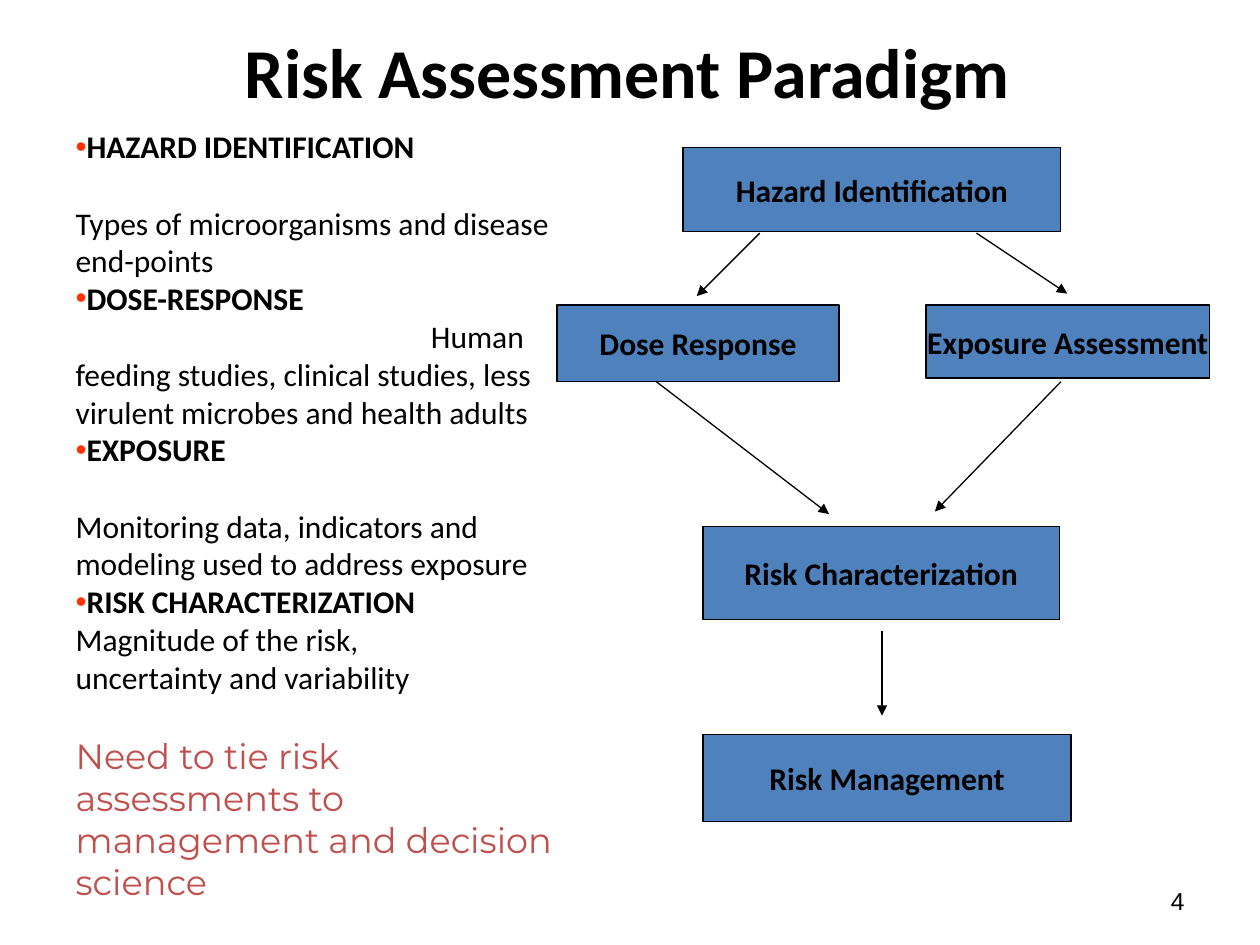
import pptx
import pptx.dml.color
import pptx.enum.shapes
import pptx.enum.text
import pptx.oxml
import pptx.oxml.ns
import pptx.util
import lxml.etree

Inches = pptx.util.Inches
Pt = pptx.util.Pt
RGBColor = pptx.dml.color.RGBColor
Align = pptx.enum.text.PP_ALIGN
Anchor = pptx.enum.text.MSO_ANCHOR
qn = pptx.oxml.ns.qn

BLACK = RGBColor(0x00, 0x00, 0x00)
BLUE = RGBColor(0x4F, 0x81, 0xBD)
RED = RGBColor(0xC0, 0x50, 0x4D)
BULLET = RGBColor(0xFF, 0x33, 0x00)

LINE_GAP = 22
BODY = [
    ("HAZARD IDENTIFICATION", "heading", 0, 0),
    ("Types of microorganisms and disease end-points", "plain", LINE_GAP, 0),
    ("DOSE-RESPONSE", "heading", 0, 0),
    ("Human feeding studies, clinical studies, less virulent microbes and health adults",
     "plain", 0, 2.82),
    ("EXPOSURE", "heading", 0, 0),
    ("Monitoring data, indicators and modeling used to address exposure",
     "plain", LINE_GAP, 0),
    ("RISK CHARACTERIZATION", "heading", 0, 0),
    ("Magnitude of the risk,", "plain", 0, 0),
    ("uncertainty and variability", "plain", 0, 0),
    ("Need to tie risk assessments to", "closing", LINE_GAP, 0),
    ("management and decision science", "closing", 0, 0),
]
BOXES = [
    ("Hazard Identification", 5.42, 1.17, 3, 0.67),
    ("Dose Response", 4.42, 2.42, 2.24, 0.61),
    ("Exposure Assessment", 7.35, 2.42, 2.25, 0.58),
    ("Risk Characterization", 5.58, 4.18, 2.83, 0.74),
    ("Risk Management", 5.58, 5.83, 2.92, 0.69),
]
ARROWS = [
    (6.03, 1.85, 5.53, 2.35),
    (7.75, 1.85, 8.47, 2.33),
    (8.42, 3.03, 7.42, 4.06),
    (5.21, 3.03, 6.58, 4.08),
    (7, 5.01, 7, 5.68),
]


class SlideBuilder:
    font = "Calibri"
    size = 18
    line_width = 0.75
    body_styles = {
        "heading": {"bold": True},
        "plain": {},
        "closing": {"size": 20, "font": "Montserrat", "color": RED},
    }

    def __init__(self, slide):
        self.slide = slide

    def add_run(self, paragraph, text, size=None, bold=False, color=BLACK, font=None):
        run = paragraph.add_run()
        run.text = text
        run.font.name = font or self.font
        run.font.size = Pt(size or self.size)
        run.font.bold = bold
        run.font.color.rgb = color

    def place(self, shape, left, top, width, height):
        shape.left, shape.top = Inches(left), Inches(top)
        shape.width, shape.height = Inches(width), Inches(height)
        shape.text_frame.auto_size = pptx.enum.text.MSO_AUTO_SIZE.NONE
        shape.text_frame.word_wrap = True

    def title(self, text, *bounds):
        shape = self.slide.shapes.title
        self.place(shape, *bounds)
        shape.text_frame.vertical_anchor = Anchor.TOP
        paragraph = shape.text_frame.paragraphs[0]
        paragraph.alignment = Align.CENTER
        paragraph.line_spacing = 0.9
        self.add_run(paragraph, text, 40, True)

    def set_bullet(self, paragraph, shown, first_indent):
        properties = paragraph._p.get_or_add_pPr()
        properties.set("marL", "0")
        properties.set("indent", str(Inches(first_indent)))
        if not shown:
            lxml.etree.SubElement(properties, qn("a:buNone"))
            return
        color = lxml.etree.SubElement(properties, qn("a:buClr"))
        lxml.etree.SubElement(color, qn("a:srgbClr"), val=str(BULLET))
        lxml.etree.SubElement(properties, qn("a:buFont"), typeface="Arial")
        lxml.etree.SubElement(properties, qn("a:buChar"), char="•")

    def body(self, items, *bounds):
        shape = self.slide.placeholders[1]
        self.place(shape, *bounds)
        frame = shape.text_frame
        for index, (text, style, space, first_indent) in enumerate(items):
            paragraph = frame.add_paragraph() if index else frame.paragraphs[0]
            paragraph.alignment = Align.LEFT
            paragraph.space_before = Pt(space)
            self.set_bullet(paragraph, style == "heading", first_indent)
            self.add_run(paragraph, text, **self.body_styles[style])

    def box(self, text, *bounds):
        shape = self.slide.shapes.add_shape(
            pptx.enum.shapes.MSO_SHAPE.RECTANGLE, *map(Inches, bounds))
        shape.shadow.inherit = False
        shape.fill.solid()
        shape.fill.fore_color.rgb = BLUE
        shape.line.color.rgb = BLACK
        shape.line.width = Pt(self.line_width)
        shape.text_frame.word_wrap = False
        shape.text_frame.vertical_anchor = Anchor.MIDDLE
        paragraph = shape.text_frame.paragraphs[0]
        paragraph.alignment = Align.CENTER
        self.add_run(paragraph, text, bold=True)

    def arrow(self, *ends):
        connector = self.slide.shapes.add_connector(
            pptx.enum.shapes.MSO_CONNECTOR.STRAIGHT, *map(Inches, ends))
        connector.line.color.rgb = BLACK
        connector.line.width = Pt(self.line_width)
        line = connector.line._get_or_add_ln()
        lxml.etree.SubElement(line, qn("a:tailEnd"), type="triangle")
        lxml.etree.SubElement(connector._element.spPr, qn("a:effectLst"))

    def page_number(self, text, *bounds):
        shape = self.slide.shapes.add_textbox(*map(Inches, bounds))
        shape.text_frame.word_wrap = True
        shape.text_frame.vertical_anchor = Anchor.MIDDLE
        paragraph = shape.text_frame.paragraphs[0]
        paragraph.alignment = Align.RIGHT
        self.add_run(paragraph, text, 14, font="Arial")


def main():
    presentation = pptx.Presentation()
    presentation.slide_width = Inches(10)
    presentation.slide_height = Inches(7.5)
    builder = SlideBuilder(presentation.slides.add_slide(presentation.slide_layouts[1]))
    builder.title("Risk Assessment Paradigm", 0.96, 0.25, 8.04, 0.71)
    builder.body(BODY, 0.5, 0.96, 4.01, 5.69)
    for box in BOXES:
        builder.box(*box)
    for arrow in ARROWS:
        builder.arrow(*arrow)
    builder.page_number("4", 7.17, 6.95, 2.33, 0.4)
    presentation.save("out.pptx")


if __name__ == "__main__":
    main()
